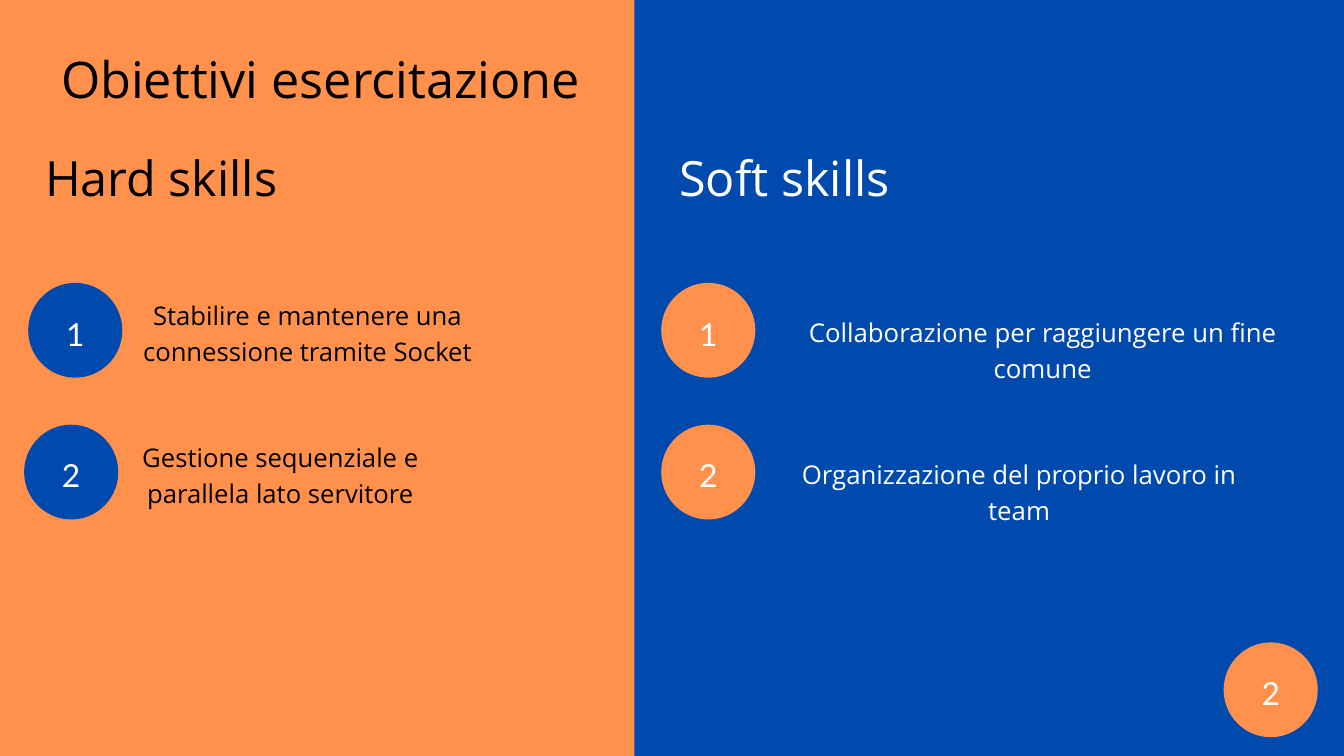
import pptx
import pptx.util
import pptx.dml.color
import pptx.enum.shapes
import pptx.enum.text
from pptx.util import Inches

COLORS = {"orange": "FF914D", "blue": "004AAD", "black": "000000", "white": "FFFFFF"}
SLIDE_W, SLIDE_H = 20, 11.25
SPLIT = 9.44
BADGE_W, BADGE_H = 1.4, 1.41
FIRST_ROW, ROW_STEP = 4.21, 2.11


def rgb(name):
    return pptx.dml.color.RGBColor.from_string(COLORS[name])


def write(shape, text, *, size, spacing, color, font="Open Sans",
          anchor=pptx.enum.text.MSO_ANCHOR.TOP):
    """Fill a shape with one centred paragraph."""
    frame = shape.text_frame
    frame.word_wrap = True
    frame.auto_size = pptx.enum.text.MSO_AUTO_SIZE.NONE
    frame.vertical_anchor = anchor
    frame.margin_left = frame.margin_right = frame.margin_top = frame.margin_bottom = 0
    paragraph = frame.paragraphs[0]
    paragraph.alignment = pptx.enum.text.PP_ALIGN.CENTER
    paragraph.line_spacing = pptx.util.Pt(spacing)
    paragraph.space_before = pptx.util.Pt(0)
    run = paragraph.add_run()
    run.text = text
    run.font.name = font
    run.font.size = pptx.util.Pt(size)
    run.font.color.rgb = rgb(color)


def add_text(slide, box, text, **style):
    write(slide.shapes.add_textbox(*map(Inches, box)), text, **style)


def add_filled(slide, kind, box, color):
    shape = slide.shapes.add_shape(kind, *map(Inches, box))
    shape.shadow.inherit = False
    shape.fill.solid()
    shape.fill.fore_color.rgb = rgb(color)
    shape.line.fill.background()
    return shape


def add_badge(slide, left, top, number, color):
    badge = add_filled(slide, pptx.enum.shapes.MSO_SHAPE.OVAL,
                       (left, top, BADGE_W, BADGE_H), color)
    write(badge, str(number), size=34, spacing=47.6, color="white", font="Lato",
          anchor=pptx.enum.text.MSO_ANCHOR.MIDDLE)


def add_title(slide, box, text):
    title = slide.shapes.title
    title.left, title.top, title.width, title.height = map(Inches, box)
    write(title, text, size=54, spacing=75.6, color="black")


def add_skills(slide, box, heading, heading_box, goals, *, ink, badge, size):
    """Heading and numbered goals, placed relative to the panel's box."""
    left, top = box[:2]
    x, width = heading_box
    add_text(slide, (left + x, top + 2.06, width, 0.96), heading,
             size=52, spacing=72.8, color=ink)
    for row, (badge_x, text_x, text_dy, text_w, goal) in enumerate(goals):
        row_top = top + FIRST_ROW + row * ROW_STEP
        add_badge(slide, left + badge_x, row_top, row + 1, badge)
        add_text(slide, (left + text_x, row_top + text_dy, text_w, 1.06), goal,
                 size=size, spacing=38.6, color=ink)


def main():
    deck = pptx.Presentation()
    deck.slide_width, deck.slide_height = Inches(SLIDE_W), Inches(SLIDE_H)
    slide = deck.slides.add_slide(deck.slide_layouts[5])
    for extra in [p for p in slide.placeholders if p.placeholder_format.idx != 0]:
        extra.element.getparent().remove(extra.element)

    # Two-colour ground
    slide.background.fill.solid()
    slide.background.fill.fore_color.rgb = rgb("orange")
    hard_panel = (0, 0, SPLIT, SLIDE_H)
    soft_panel = (SPLIT, 0, SLIDE_W - SPLIT, SLIDE_H)
    add_filled(slide, pptx.enum.shapes.MSO_SHAPE.RECTANGLE, soft_panel, "blue")

    # Title
    add_title(slide, (0.36, 0.56, 8.83, 1.01), "Obiettivi esercitazione")

    # Goals: badge x, text x, text offset in row, text width, wording
    add_skills(slide, hard_panel, "Hard skills", (0.67, 3.46), [
        (0.42, 2.04, 0.18, 5.07, "Stabilire e mantenere una connessione tramite Socket"),
        (0.36, 2.03, 0.18, 4.28, "Gestione sequenziale e parallela lato servitore"),
    ], ink="black", badge="blue", size=27.5)
    add_skills(slide, soft_panel, "Soft skills", (0.56, 3.35), [
        (0.4, 1.97, 0.43, 8.21, "Collaborazione per raggiungere un fine comune"),
        (0.4, 2.12, 0.43, 7.21, "Organizzazione del proprio lavoro in team"),
    ], ink="white", badge="orange", size=27.6)

    # Page number
    add_badge(slide, 18.21, 9.56, 2, "orange")

    deck.save("out.pptx")


if __name__ == "__main__":
    main()
